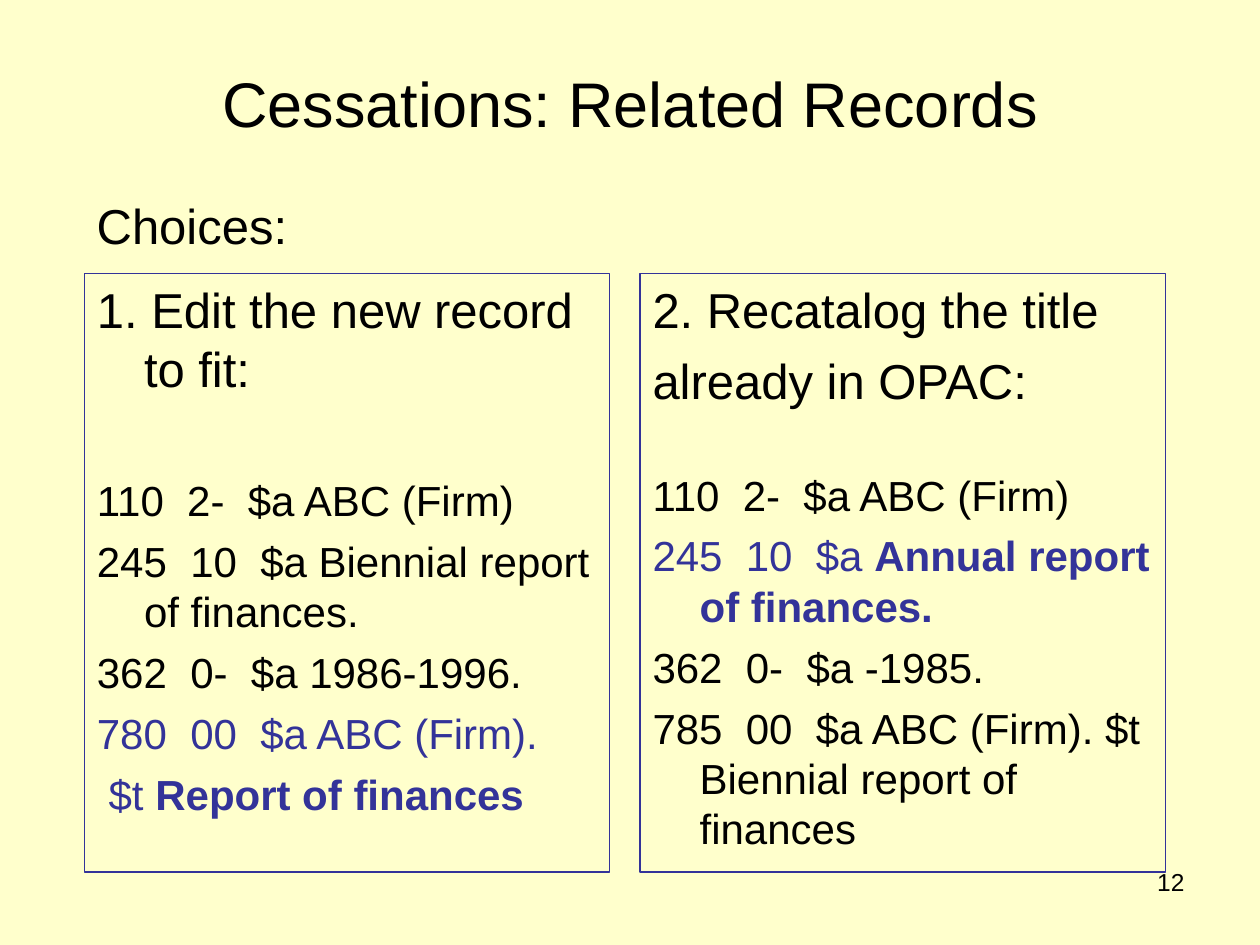
from lxml import etree
from pptx import Presentation
from pptx.dml.color import RGBColor
from pptx.enum.text import MSO_ANCHOR, MSO_AUTO_SIZE, PP_ALIGN
from pptx.oxml.ns import qn
from pptx.util import Cm, Pt

LEFT, CENTER, RIGHT = PP_ALIGN.LEFT, PP_ALIGN.CENTER, PP_ALIGN.RIGHT
TOP, MIDDLE = MSO_ANCHOR.TOP, MSO_ANCHOR.MIDDLE
NO_AUTOFIT = MSO_AUTO_SIZE.NONE
TWO_CONTENT_LAYOUT = 3

BLACK, BLUE, CREAM = "000000", "333399", "FFFFCC"
HEADING_SIZE, FIELD_SIZE = 28, 24
COLUMN_LEFT, COLUMN_PITCH = 1.7, 11.2
COLUMN_TOP, COLUMN_WIDTH, COLUMN_HEIGHT = 5.51, 10.59, 12.07

# Each line: plain text, bold text, size, colour, space before.
EDIT_NEW_RECORD = [
    ("1. Edit the new record to fit:", "", HEADING_SIZE, BLACK, 0),
    ("110  2-  $a ABC (Firm)", "", FIELD_SIZE, BLACK, 44),
    ("245  10  $a Biennial report of finances.", "", FIELD_SIZE, BLACK, 6),
    ("362  0-  $a 1986-1996.", "", FIELD_SIZE, BLACK, 6),
    ("780  00  $a ABC (Firm).", "", FIELD_SIZE, BLUE, 6),
    (" $t ", "Report of finances", FIELD_SIZE, BLUE, 6),
]
RECATALOG_TITLE = [
    ("2. Recatalog the title", "", HEADING_SIZE, BLACK, 0),
    ("already in OPAC:", "", HEADING_SIZE, BLACK, 7),
    ("110  2-  $a ABC (Firm)", "", FIELD_SIZE, BLACK, 34),
    ("245  10  $a ", "Annual report of finances.", FIELD_SIZE, BLUE, 6),
    ("362  0-  $a -1985.", "", FIELD_SIZE, BLACK, 6),
    ("785  00  $a ABC (Firm). $t Biennial report of finances", "", FIELD_SIZE, BLACK, 6),
]


def color(hex_code):
    """Return the colour for a hex string."""
    return RGBColor.from_string(hex_code)


def place(box, left, top, width, height):
    """Move and size a box, in centimetres."""
    box.left, box.top = Cm(left), Cm(top)
    box.width, box.height = Cm(width), Cm(height)


def style_frame(frame, anchor, wrap=True):
    """Set the anchor and wrapping of a text frame with fixed size."""
    frame.auto_size = NO_AUTOFIT
    frame.vertical_anchor = anchor
    frame.word_wrap = wrap


def style_paragraph(para, size, hex_code, align=LEFT):
    """Set the font and alignment of a paragraph."""
    para.alignment = align
    para.font.name = "Arial"
    para.font.size = Pt(size)
    para.font.color.rgb = color(hex_code)


def set_title(slide, text):
    """Fill the title placeholder."""
    title = slide.shapes.title
    place(title, 1.27, 0.76, 22.86, 2.62)
    style_frame(title.text_frame, MIDDLE)
    title.text_frame.text = text
    style_paragraph(title.text_frame.paragraphs[0], 36, BLACK, CENTER)


def hang_without_bullet(para):
    """Give a paragraph a hanging indent and no bullet."""
    properties = para._p.get_or_add_pPr()
    properties.set("marL", str(Cm(0.95)))
    properties.set("indent", str(Cm(-0.95)))
    etree.SubElement(properties, qn("a:buNone"))


def fill_column(body, left, lines):
    """Fill one framed body placeholder with catalogue lines."""
    place(body, left, COLUMN_TOP, COLUMN_WIDTH, COLUMN_HEIGHT)
    body.line.color.rgb = color(BLUE)
    body.line.width = Pt(0.75)
    frame = body.text_frame
    style_frame(frame, TOP)
    for index, (plain, bold, size, hex_code, space) in enumerate(lines):
        para = frame.add_paragraph() if index else frame.paragraphs[0]
        hang_without_bullet(para)
        style_paragraph(para, size, hex_code)
        para.space_before = Pt(space)
        para.add_run().text = plain
        if bold:
            span = para.add_run()
            span.text = bold
            span.font.bold = True


def add_label(slide, text, position, size, align=LEFT, wrap=True):
    """Add a one-line text box."""
    box = slide.shapes.add_textbox(*map(Cm, position))
    style_frame(box.text_frame, TOP, wrap)
    box.text_frame.text = text
    style_paragraph(box.text_frame.paragraphs[0], size, BLACK, align)


def main():
    """Build and save the slide."""
    deck = Presentation()
    deck.slide_width, deck.slide_height = Cm(25.4), Cm(19.05)
    slide = deck.slides.add_slide(deck.slide_layouts[TWO_CONTENT_LAYOUT])
    slide.background.fill.solid()
    slide.background.fill.fore_color.rgb = color(CREAM)

    set_title(slide, "Cessations: Related Records")
    for index, lines in enumerate((EDIT_NEW_RECORD, RECATALOG_TITLE)):
        body = slide.placeholders[index + 1]
        fill_column(body, COLUMN_LEFT + index * COLUMN_PITCH, lines)
    add_label(slide, "Choices:", (COLUMN_LEFT, 3.81, 4.34, 1.45), HEADING_SIZE, wrap=False)
    add_label(slide, "12", (18.2, 17.35, 5.93, 1.32), 14, RIGHT)
    deck.save("out.pptx")


if __name__ == "__main__":
    main()
